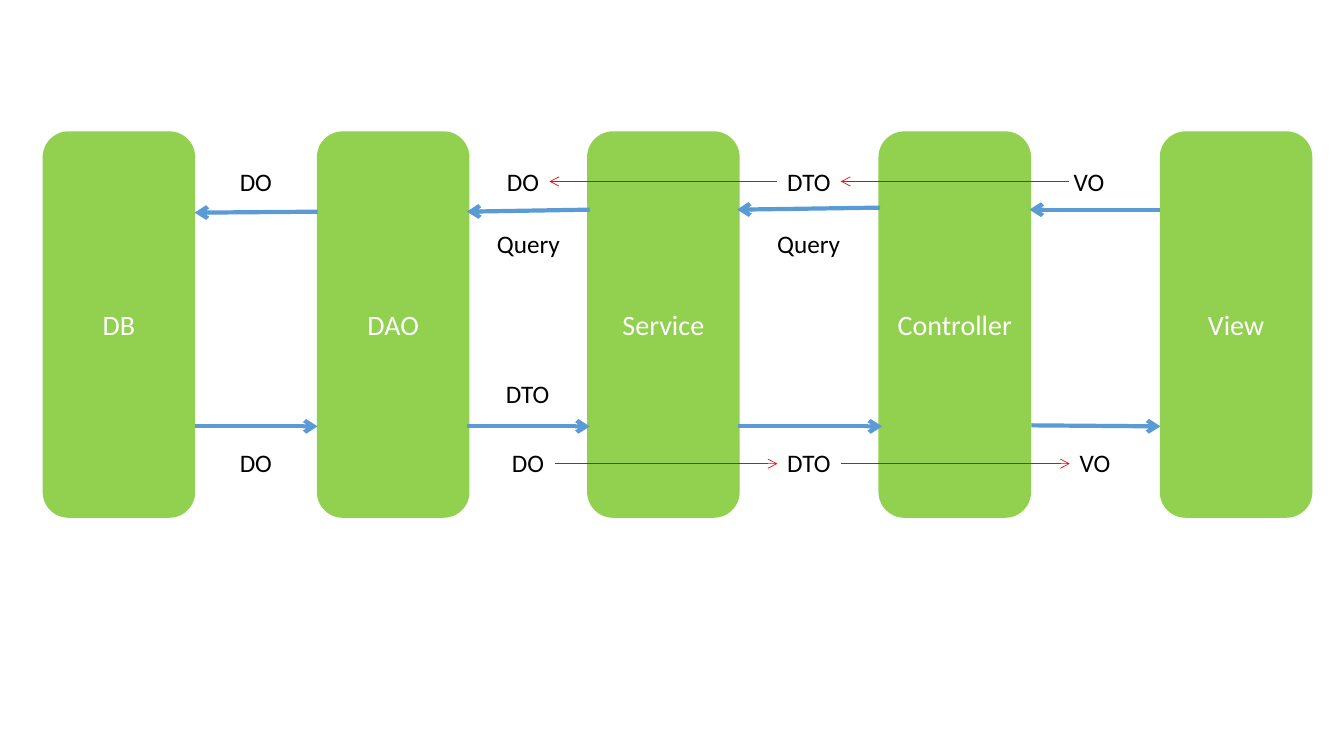
from lxml.etree import SubElement
from pptx import Presentation
from pptx.dml.color import RGBColor
from pptx.enum.shapes import MSO_CONNECTOR as CONNECTOR, MSO_SHAPE as SHAPE
from pptx.enum.text import MSO_ANCHOR as ANCHOR, MSO_AUTO_SIZE as AUTO, PP_ALIGN as ALIGN
from pptx.oxml.ns import qn
from pptx.util import Emu, Pt

PX = 9144  # EMU in one px, 100 px to the inch
FONT = "Calibri"
COLORS = {"layer": "92D050", "call": "5B9BD5", "convert": "FF0000",
          "white": "FFFFFF", "black": "000000"}

# name, left
LAYERS = [("DB", 43), ("DAO", 315), ("Service", 583), ("Controller", 872), ("View", 1151)]
LAYER_TOP, LAYER_W, LAYER_H = 131, 150, 382

# x1, y1, x2, y2
REQUESTS = [(1151, 208, 1021, 208), (873, 206, 731, 208),
            (585, 208, 463, 210), (315, 210, 193, 211)]
RESPONSES = [(193, 423, 315, 423), (463, 423, 585, 423),
             (732, 423, 875, 423), (1023, 422, 1151, 423)]
CONVERSIONS = [(771, 180, 545, 180), (1060, 180, 834, 180),
               (550, 460, 771, 460), (834, 460, 1061, 460)]

# top of the row: (text, left) of each label
LABELS = {
    160: [("DO", 228), ("DO", 493), ("DTO", 771), ("VO", 1055)],
    222: [("Query", 483), ("Query", 761)],
    370: [("DTO", 492)],
    439: [("DO", 228), ("DO", 498), ("DTO", 771), ("VO", 1061)],
}
LABEL_W = {"DO": 53, "VO": 52, "DTO": 64, "Query": 84}
LABEL_H = 40


def px(*lengths):
    return [Emu(n * PX) for n in lengths]


def rgb(name):
    return RGBColor.from_string(COLORS[name])


def put_text(sp, text, size=18, color="black", align=ALIGN.LEFT, anchor=ANCHOR.TOP, wrap=True):
    tf = sp.text_frame
    tf.word_wrap = wrap
    tf.vertical_anchor = anchor
    p = tf.paragraphs[0]
    p.alignment = align
    r = p.add_run()
    r.text = text
    r.font.name, r.font.size = FONT, Pt(size)
    r.font.color.rgb = rgb(color)


def add_layer(s, name, left):
    sp = s.shapes.add_shape(SHAPE.ROUNDED_RECTANGLE, *px(left, LAYER_TOP, LAYER_W, LAYER_H))
    sp.shadow.inherit = False
    sp.fill.solid()
    sp.fill.fore_color.rgb = rgb("layer")
    sp.line.color.rgb = rgb("layer")
    sp.line.width = Pt(1)
    put_text(sp, name, size=20, color="white", align=ALIGN.CENTER, anchor=ANCHOR.MIDDLE)


def add_arrow(s, ends, color, width):
    c = s.shapes.add_connector(CONNECTOR.STRAIGHT, *px(*ends))
    c.line.color.rgb = rgb(color)
    c.line.width = Pt(width)
    SubElement(c.line._get_or_add_ln(), qn("a:tailEnd"), type="arrow")
    SubElement(c._element.spPr, qn("a:effectLst"))


def add_label(s, text, left, top):
    sp = s.shapes.add_textbox(*px(left, top, LABEL_W[text], LABEL_H))
    put_text(sp, text, wrap=False)
    sp.text_frame.auto_size = AUTO.SHAPE_TO_FIT_TEXT


def main():
    prs = Presentation()
    prs.slide_width, prs.slide_height = px(1333, 750)
    s = prs.slides.add_slide(prs.slide_layouts[6])
    for name, left in LAYERS:
        add_layer(s, name, left)
    for ends in REQUESTS + RESPONSES:
        add_arrow(s, ends, "call", 3)
    for top, row in LABELS.items():
        for text, left in row:
            add_label(s, text, left, top)
    for ends in CONVERSIONS:
        add_arrow(s, ends, "convert", 0.5)
    prs.save("out.pptx")


if __name__ == "__main__":
    main()
